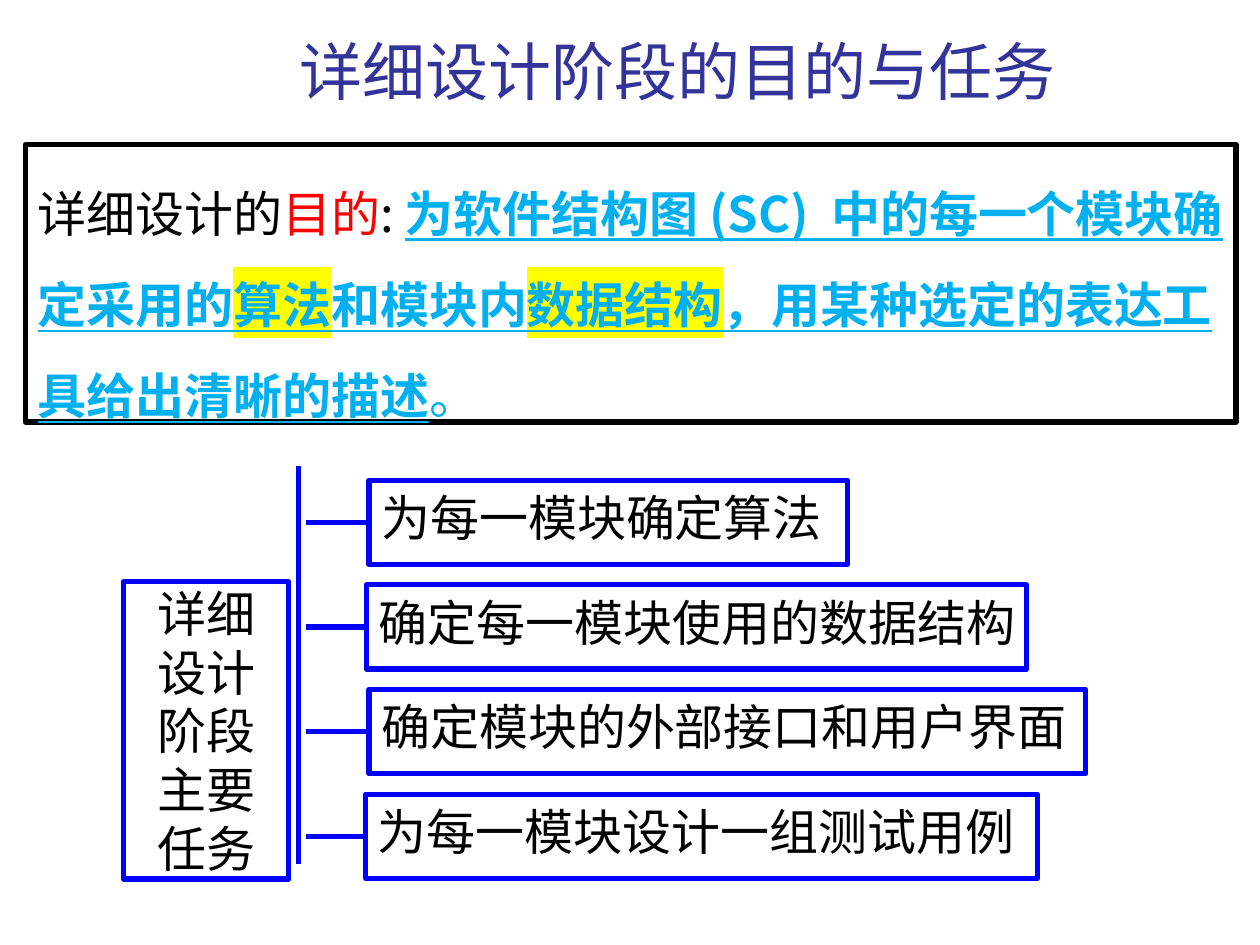
"""Build a slide on the purpose and tasks of the detailed design phase."""
from lxml import etree
from pptx import Presentation
from pptx.dml.color import RGBColor
from pptx.enum.shapes import MSO_CONNECTOR, MSO_SHAPE
from pptx.enum.text import MSO_ANCHOR, PP_ALIGN
from pptx.oxml.ns import qn
from pptx.util import Cm, Pt

RECTANGLE = MSO_SHAPE.RECTANGLE
CALLOUT = MSO_SHAPE.LINE_CALLOUT_1
STRAIGHT = MSO_CONNECTOR.STRAIGHT
CENTER = PP_ALIGN.CENTER
TOP = MSO_ANCHOR.TOP
MIDDLE = MSO_ANCHOR.MIDDLE
LEFT = PP_ALIGN.LEFT

FONT = "Noto Sans CJK SC"
BLACK = RGBColor(0x00, 0x00, 0x00)
RED = RGBColor(0xFF, 0x00, 0x00)
BLUE = RGBColor(0x00, 0x00, 0xFF)
NAVY = RGBColor(0x33, 0x33, 0x99)
SKY = RGBColor(0x00, 0xB0, 0xF0)
YELLOW = RGBColor(0xFF, 0xFF, 0x00)


def write(box, spans, size, frame_format, para_format):
    frame = box.text_frame
    para = frame.paragraphs[0]
    for target, values in ((frame, frame_format), (para, para_format)):
        for name, value in values.items():
            setattr(target, name, value)
    for text, color, strong, highlight in spans:
        span = para.add_run()
        span.text = text
        span.font.color.rgb = color
        values = {"size": Pt(size), "bold": strong, "underline": strong}
        for name, value in values.items():
            setattr(span.font, name, value)
        properties = span.font._element
        if highlight:
            marker = etree.SubElement(properties, qn("a:highlight"))
            etree.SubElement(marker, qn("a:srgbClr"), val=str(highlight))
        for script in ("a:latin", "a:ea"):
            etree.SubElement(properties, qn(script), typeface=FONT)


def add_outline(shapes, kind, bounds, color):
    box = shapes.add_shape(kind, *map(Cm, bounds))
    box.shadow.inherit = False
    box.fill.background()
    box.line.color.rgb = color
    box.line.width = Pt(3)
    return box


deck = Presentation()
deck.slide_width, deck.slide_height = Cm(25.4), Cm(19.05)
page = deck.slides.add_slide(deck.slide_layouts[6])

title = page.shapes.add_textbox(Cm(2.49), Cm(0.53), Cm(22.35), Cm(1.8))
write(title, [("详细设计阶段的目的与任务", NAVY, False, None)], 36,
      {"word_wrap": True}, {"alignment": CENTER, "space_before": Pt(7)})

purpose = add_outline(page.shapes, RECTANGLE, (0.51, 2.92, 24.41, 5.59), BLACK)
purpose_spans = [
    ("详细设计的", BLACK, False, None),
    ("目的", RED, False, None),
    (": ", BLACK, False, None),
    ("为软件结构图 (SC)  中的每一个模块确定采用的", SKY, True, None),
    ("算法", SKY, True, YELLOW),
    ("和模块内", SKY, True, None),
    ("数据结构", SKY, True, YELLOW),
    ("，用某种选定的表达工具给出清晰的描述", SKY, True, None),
    ("。", SKY, False, None),
]
write(purpose, purpose_spans, 28, {"word_wrap": True, "vertical_anchor": TOP},
      {"alignment": LEFT, "line_spacing": 1.55})

phase = add_outline(page.shapes, CALLOUT, (2.49, 11.73, 3.33, 5.99), BLUE)
for index, value in enumerate((0.95, 1.06, -0.39, 1.06)):
    phase.adjustments[index] = value
write(phase, [("详细设计阶段主要任务", BLACK, False, None)], 28,
      {"word_wrap": True, "vertical_anchor": MIDDLE}, {"alignment": CENTER})

tasks = [
    ("为每一模块确定算法", 7.44, 9.65),
    ("确定每一模块使用的数据结构", 7.39, 13.31),
    ("确定模块的外部接口和用户界面", 7.44, 14.45),
    ("为每一模块设计一组测试用例", 7.37, 13.54),
]
task_height = 1.7
for index, (text, left, width) in enumerate(tasks):
    top = 9.68 + 2.11 * index
    middle = Cm(top + task_height / 2)
    group = page.shapes.add_group_shape()
    task = add_outline(group.shapes, RECTANGLE, (left, top, width, task_height), BLUE)
    write(task, [(text, BLACK, False, None)], 28,
          {"word_wrap": False, "vertical_anchor": MIDDLE},
          {"alignment": LEFT, "line_spacing": 0.8, "space_before": Pt(8.4)})
    branch = group.shapes.add_connector(STRAIGHT, Cm(6.17), middle, Cm(left), middle)
    branch.line.color.rgb = BLUE
    branch.line.width = Pt(3)
    etree.SubElement(branch._element.spPr, qn("a:effectLst"))

deck.save("out.pptx")
